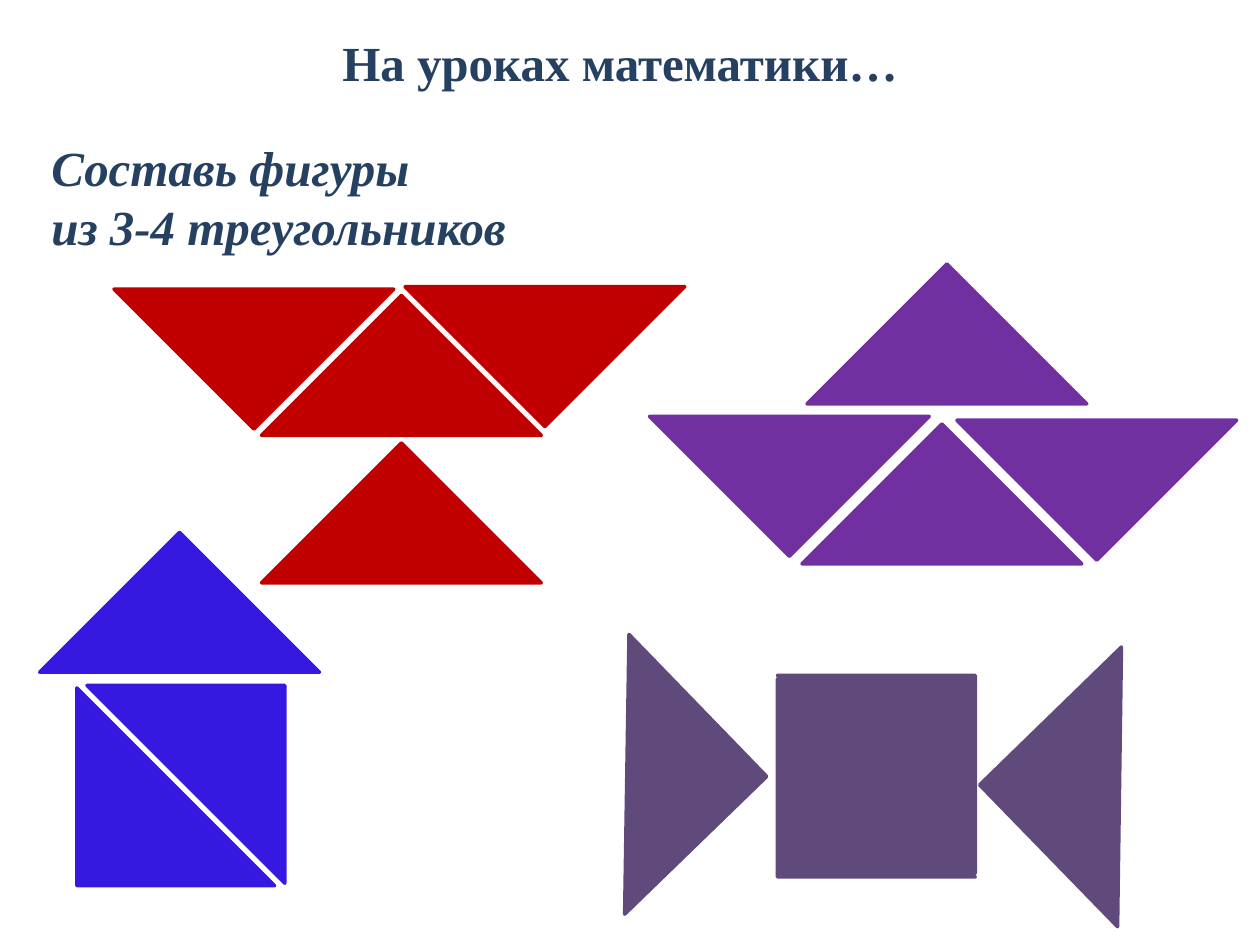
from typing import NamedTuple

from pptx import Presentation
from pptx.dml.color import RGBColor
from pptx.enum.shapes import MSO_SHAPE
from pptx.enum.text import MSO_AUTO_SIZE, PP_ALIGN
from pptx.util import Emu, Pt

RIGHT_TRIANGLE = MSO_SHAPE.RIGHT_TRIANGLE
FIT_SHAPE = MSO_AUTO_SIZE.SHAPE_TO_FIT_TEXT
LEFT, CENTER = PP_ALIGN.LEFT, PP_ALIGN.CENTER

EMU_PER_PX = 9144  # 100 px to the inch
LEG = 157  # both legs of every triangle
POINT_UP, POINT_DOWN, HALF_TURN = 135, 315, 180
FONT = "Times New Roman"
TEXT_COLOR = "254061"


class Triangle(NamedTuple):
    left: int
    top: int
    rotation: float = 0


class Figure(NamedTuple):
    color: str
    triangles: list[Triangle]


class Caption(NamedTuple):
    left: int
    top: int
    width: int
    height: int
    lines: list[str]
    align: PP_ALIGN
    italic: bool


FIGURES = [
    # Red: a wide top on a stem
    Figure("C00000", [
        Triangle(123, 151, POINT_DOWN),
        Triangle(240, 267, POINT_UP),
        Triangle(354, 149, POINT_DOWN),
        Triangle(240, 384, POINT_UP),
    ]),
    # Purple: boat
    Figure("7030A0", [
        Triangle(669, 369, POINT_UP),
        Triangle(673, 242, POINT_UP),
        Triangle(548, 252, POINT_DOWN),
        Triangle(792, 255, POINT_DOWN),
    ]),
    # Blue: house
    Figure("3619E1", [
        Triangle(61, 546),
        Triangle(69, 544, HALF_TURN),
        Triangle(64, 455, POINT_UP),
    ]),
    # Violet: candy
    Figure("604A7B", [
        Triangle(617, 539),
        Triangle(617, 536, HALF_TURN),
        Triangle(419, 536, 225.9),
        Triangle(810, 546, 45.8),
    ]),
]

CAPTIONS = [
    Caption(31, 104, 763, 104, ["Составь фигуры", "из 3-4 треугольников"], LEFT, True),
    Caption(177, 21, 630, 57, ["На уроках математики…"], CENTER, False),
]


def px(length: int) -> Emu:
    return Emu(length * EMU_PER_PX)


def rgb(color: str) -> RGBColor:
    return RGBColor.from_string(color)


def draw_figure(slide, figure: Figure) -> None:
    for triangle in figure.triangles:
        shape = slide.shapes.add_shape(
            RIGHT_TRIANGLE, px(triangle.left), px(triangle.top), px(LEG), px(LEG))
        shape.rotation = triangle.rotation
        shape.shadow.inherit = False
        shape.fill.solid()
        shape.fill.fore_color.rgb = rgb(figure.color)
        shape.line.color.rgb = rgb(figure.color)
        shape.line.width = Pt(2)


def draw_caption(slide, caption: Caption) -> None:
    box = slide.shapes.add_textbox(
        px(caption.left), px(caption.top), px(caption.width), px(caption.height))
    frame = box.text_frame
    frame.word_wrap = True
    frame.auto_size = FIT_SHAPE
    for index, line in enumerate(caption.lines):
        paragraph = frame.add_paragraph() if index else frame.paragraphs[0]
        paragraph.alignment = caption.align
        run = paragraph.add_run()
        run.text = line
        run.font.name = FONT
        run.font.size = Pt(28)
        run.font.bold = True
        run.font.italic = caption.italic
        run.font.color.rgb = rgb(TEXT_COLOR)


def main() -> None:
    presentation = Presentation()
    presentation.slide_width, presentation.slide_height = px(1000), px(750)
    slide = presentation.slides.add_slide(presentation.slide_layouts[6])

    # Figures made of triangles
    for figure in FIGURES:
        draw_figure(slide, figure)

    # Task and title
    for caption in CAPTIONS:
        draw_caption(slide, caption)

    presentation.save("out.pptx")


if __name__ == "__main__":
    main()
